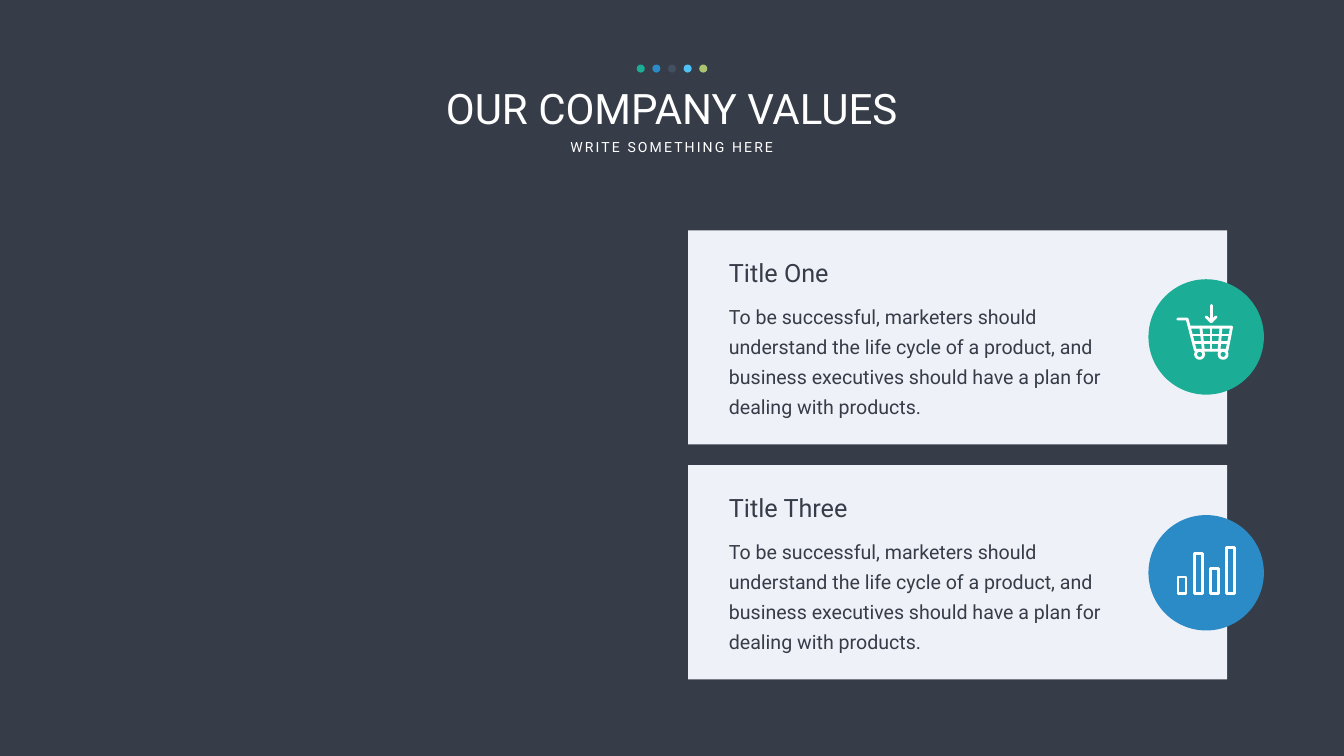
from lxml import etree
from pptx import Presentation
from pptx.dml.color import RGBColor
from pptx.enum.shapes import MSO_SHAPE
from pptx.enum.text import MSO_ANCHOR, MSO_AUTO_SIZE, PP_ALIGN
from pptx.oxml.ns import qn
from pptx.util import Pt

OVAL, RECTANGLE = MSO_SHAPE.OVAL, MSO_SHAPE.RECTANGLE
LEFT, CENTER = PP_ALIGN.LEFT, PP_ALIGN.CENTER
TOP, FIXED = MSO_ANCHOR.TOP, MSO_AUTO_SIZE.NONE
TITLE_ONLY = 5


class Theme:
    font = "Roboto"
    dark = RGBColor.from_string("363D48")
    white = RGBColor.from_string("FFFFFF")
    panel = RGBColor.from_string("EFF1F8")
    green = RGBColor.from_string("1CAD97")
    blue = RGBColor.from_string("2B8BC7")
    slate = RGBColor.from_string("425060")
    sky = RGBColor.from_string("4EC2F4")
    lime = RGBColor.from_string("AAC46F")
    title_size, heading_size, body_size, subtitle_size = 60, 36, 28, 20
    icon_line = 4


def write(box, text, *, size, color, align=LEFT, leading=None, tracking=None, wrap=True):
    frame = box.text_frame
    frame.word_wrap = wrap
    frame.auto_size = FIXED
    frame.vertical_anchor = TOP
    para = frame.paragraphs[0]
    para.alignment = align
    if leading:
        para.line_spacing = Pt(leading)
    span = para.add_run()
    span.text = text
    span.font.name = Theme.font
    span.font.size = Pt(size)
    span.font.color.rgb = color
    if tracking:
        span.font._element.set("spc", str(tracking * 100))


def style(shape, fill=None, line=None):
    shape.shadow.inherit = False
    if fill is None:
        shape.fill.background()
    else:
        shape.fill.solid()
        shape.fill.fore_color.rgb = fill
    if line is None:
        shape.line.fill.background()
    else:
        shape.line.color.rgb = line
        shape.line.width = Pt(Theme.icon_line)
        outline = shape._element.spPr.find(qn("a:ln"))
        outline.set("cap", "rnd")
        etree.SubElement(outline, qn("a:round"))


deck = Presentation()
deck.slide_width, deck.slide_height = Pt(1919.52), Pt(1080)
page = deck.slides.add_slide(deck.slide_layouts[TITLE_ONLY])
page.background.fill.solid()
page.background.fill.fore_color.rgb = Theme.dark
shapes = page.shapes

# Heading
title = shapes.title
title.left, title.top, title.width, title.height = Pt(554.4), Pt(114.5), Pt(810), Pt(80)
write(title, "OUR COMPANY VALUES", size=Theme.title_size, color=Theme.white, align=CENTER)
subtitle = shapes.add_textbox(Pt(802.8), Pt(194.4), Pt(313.2), Pt(31.7))
write(subtitle, "WRITE SOMETHING HERE", size=Theme.subtitle_size, color=Theme.white,
      align=CENTER, tracking=3, wrap=False)

# Row of dots
dots = shapes.add_group_shape()
for index, color in enumerate((Theme.green, Theme.blue, Theme.slate, Theme.sky, Theme.lime)):
    dot = dots.shapes.add_shape(OVAL, Pt(909.4 + 22.32 * index), Pt(92.2), Pt(11.5), Pt(11.5))
    style(dot, fill=color)

# Value cards with their badges
body = ("To be successful, marketers should understand the life cycle of a product, "
        "and business executives should have a plan for dealing with products.")
badge_left = 1640.2
cards = (("Title One", 329, 398.9, Theme.green), ("Title Three", 664.6, 735.8, Theme.blue))
for heading, top, badge_top, color in cards:
    panel = shapes.add_shape(RECTANGLE, Pt(982.8), Pt(top), Pt(769.7), Pt(306))
    style(panel, fill=Theme.panel)
    heading_box = shapes.add_textbox(Pt(1033.9), Pt(top + 35.3), Pt(301.7), Pt(51.1))
    write(heading_box, heading, size=Theme.heading_size, color=Theme.dark)
    body_box = shapes.add_textbox(Pt(1033.9), Pt(top + 93.6), Pt(555.1), Pt(180.7))
    write(body_box, body, size=Theme.body_size, color=Theme.dark, leading=43)
    badge = shapes.add_shape(OVAL, Pt(badge_left), Pt(badge_top), Pt(164.9), Pt(164.9))
    style(badge, fill=color)

# Cart icon: strokes and wheels, measured from the corner of its badge
cart_top = cards[0][2]
cart_strokes = (
    ((41.8, 56.9), (55.4, 56.9), (67, 101.5), (112.3, 101.5), (118.8, 68.4), (58.5, 68.4)),
    ((61.9, 79.6), (116.6, 79.6)),
    ((64.8, 90.4), (114.5, 90.4)),
    ((74.9, 68.4), (78.5, 101.5)),
    ((89.3, 68.4), (89.3, 101.5)),
    ((103.7, 68.4), (100.8, 101.5)),
    ((89.6, 37.3), (89.6, 60.8)),
    ((82.4, 53.6), (89.6, 60.8), (96.8, 53.6)),
)
strokes = [[(Pt(badge_left + x), Pt(cart_top + y)) for x, y in stroke] for stroke in cart_strokes]
builder = shapes.build_freeform(*strokes[0][0])
builder.add_line_segments(strokes[0][1:], close=False)
for stroke in strokes[1:]:
    builder.move_to(*stroke[0])
    builder.add_line_segments(stroke[1:], close=False)
style(builder.convert_to_shape(), line=Theme.white)
for center in (73.1, 106.6):
    wheel = shapes.add_shape(OVAL, Pt(badge_left + center - 5.8), Pt(cart_top + 101.5),
                             Pt(11.6), Pt(11.6))
    style(wheel, line=Theme.white)

# Bar icon: four outlined bars on a common base
bar_base = cards[1][2] + 111.8
for index, height in enumerate((23.4, 57.2, 34.9, 65.2)):
    bar = shapes.add_shape(RECTANGLE, Pt(badge_left + 42.3 + 23.04 * index),
                           Pt(bar_base - height), Pt(11.5), Pt(height))
    style(bar, line=Theme.white)

deck.save("out.pptx")
